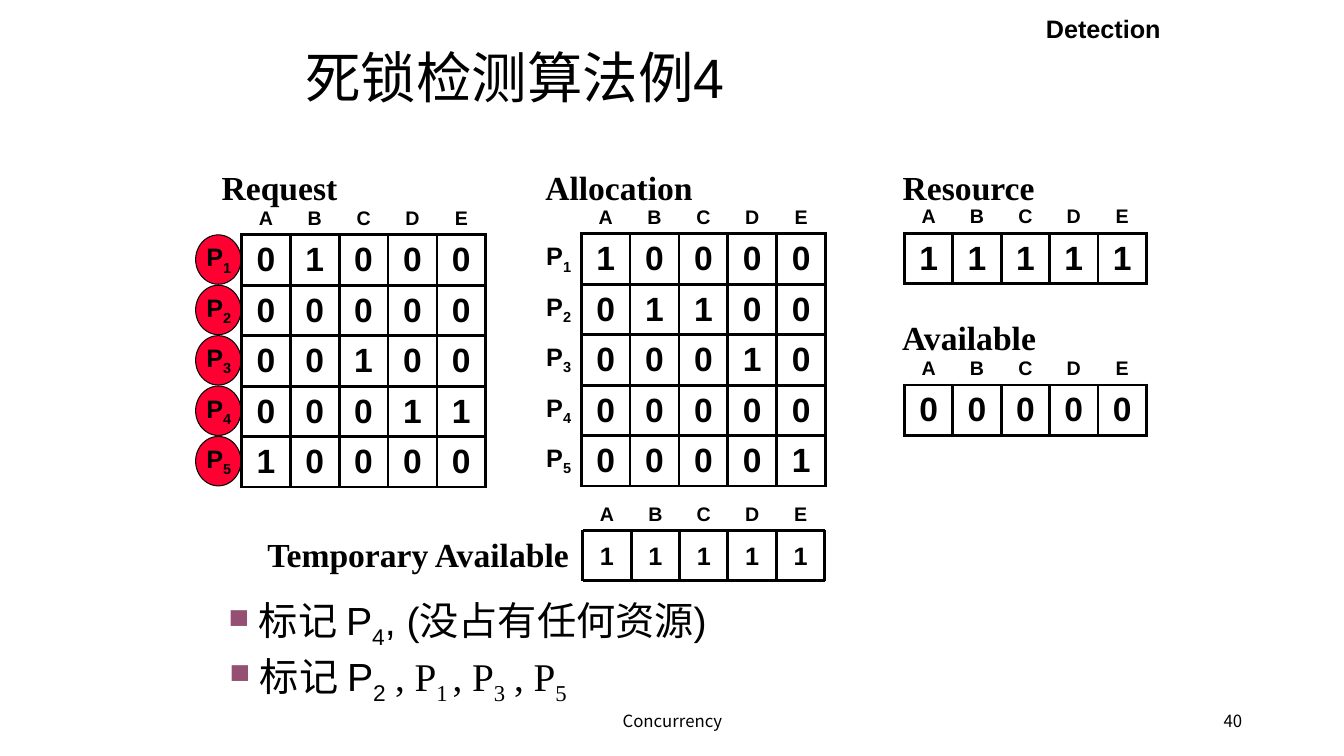
from lxml.etree import SubElement
from pptx import Presentation
from pptx.dml.color import RGBColor
from pptx.enum.shapes import MSO_CONNECTOR, MSO_SHAPE
from pptx.enum.text import MSO_ANCHOR, PP_ALIGN
from pptx.oxml.ns import qn
from pptx.util import Inches, Pt

BLACK, WHITE, RED, PURPLE = "000000", "FFFFFF", "FF0033", "954F72"
SANS, SERIF, CHINESE = "Arial", "Times New Roman", "Noto Sans CJK SC"
LEFT, CENTER, RIGHT = PP_ALIGN.LEFT, PP_ALIGN.CENTER, PP_ALIGN.RIGHT
TOP, MIDDLE, BOTTOM = MSO_ANCHOR.TOP, MSO_ANCHOR.MIDDLE, MSO_ANCHOR.BOTTOM
PLAIN_TABLE = "{2D5ABB26-0587-4C30-8999-92F81FD0307C}"

RESOURCES = "ABCDE"
PROCESSES = "12345"
REQUEST = ["01000", "00000", "00100", "00011", "10000"]
ALLOCATION = ["10000", "01100", "00010", "00000", "00001"]
RESOURCE = ["11111"]
AVAILABLE = ["00000"]
TEMPORARY = "11111"

TABLES = [
    (1.91, 1.89, 0.485, 0.44, REQUEST, PROCESSES),
    (5.28, 1.89, 0.485, 0.43, ALLOCATION, PROCESSES),
    (8.97, 1.98, 0.48, 0.33, RESOURCE, ""),
    (8.97, 3.45, 0.48, 0.37, AVAILABLE, ""),
]
HEADINGS = [
    ("Request", 2.1, 1.61, 1.76, LEFT),
    ("Allocation", 5.31, 1.61, 1.76, LEFT),
    ("Resource", 8.63, 1.61, 1.73, RIGHT),
    ("Available", 8.85, 3.09, 1.73, LEFT),
    ("Temporary Available", 2.36, 5.25, 3.38, RIGHT),
]
STEPS = [
    (2.09, 5.87, 0.56, ["标记 P", "4", ", (没占有任何资源)"]),
    (2.1, 6.42, 0.65, ["标记 P", "2"]),
]
MARKED_LATER = [(3.82, "1"), (4.39, "3"), (5, "5")]
ROW = 0.5
TEMPORARY_LEFT, TEMPORARY_TOP, TEMPORARY_CELL = 5.78, 5.26, 0.48


def color(value):
    return RGBColor.from_string(value)


def write(frame, pieces, size, font=SANS, bold=False, align=LEFT):
    para = frame.paragraphs[0]
    para.alignment = align
    for number, piece in enumerate(pieces):
        span = para.add_run()
        span.text = piece
        span.font.size = Pt(size)
        span.font.bold = bold
        span.font.name = font
        span.font.color.rgb = color(BLACK)
        properties = span.font._element
        SubElement(properties, qn("a:ea")).set("typeface", CHINESE)
        if number % 2:
            properties.set("baseline", "-25000")
    return para


def add_text(left, top, width, height, pieces, size, font=SANS, bold=False,
             align=LEFT, anchor=TOP):
    box = page.shapes.add_textbox(Inches(left), Inches(top), Inches(width), Inches(height))
    box.text_frame.word_wrap = True
    box.text_frame.vertical_anchor = anchor
    return write(box.text_frame, pieces, size, font, bold, align)


def add_bullet(para):
    properties = para._p.get_or_add_pPr()
    properties.set("marL", str(Inches(0.38)))
    properties.set("indent", str(-Inches(0.38)))
    shade = SubElement(properties, qn("a:buClr"))
    SubElement(shade, qn("a:srgbClr")).set("val", PURPLE)
    SubElement(properties, qn("a:buSzPct")).set("val", "125000")
    SubElement(properties, qn("a:buChar")).set("char", "▪")


def add_shape(kind, left, top, width, height, fill):
    shape = page.shapes.add_shape(kind, Inches(left), Inches(top), Inches(width), Inches(height))
    shape.shadow.inherit = False
    shape.fill.solid()
    shape.fill.fore_color.rgb = color(fill)
    return shape


def add_line(x1, y1, x2, y2):
    line = page.shapes.add_connector(
        MSO_CONNECTOR.STRAIGHT, Inches(x1), Inches(y1), Inches(x2), Inches(y2))
    line.line.color.rgb = color(BLACK)
    line.line.width = Pt(2.25)
    SubElement(line._element.spPr, qn("a:effectLst"))


def set_borders(cell, sides):
    properties = cell._tc.get_or_add_tcPr()
    for position, side in enumerate(sides):
        border = SubElement(properties, qn("a:ln" + side))
        border.set("w", str(Pt(2.25)))
        solid = SubElement(border, qn("a:solidFill"))
        SubElement(solid, qn("a:srgbClr")).set("val", BLACK)
        properties.insert(position, border)


def fill_cell(cell, pieces, size, align, anchor, sides):
    cell.vertical_anchor = anchor
    write(cell.text_frame, pieces, size, bold=True, align=align)
    set_borders(cell, sides)


def add_matrix(left, top, column, header, rows, processes):
    first = 1 if processes else 0
    count = len(RESOURCES) + first
    frame = page.shapes.add_table(
        len(rows) + 1, count, Inches(left), Inches(top),
        Inches(column * count), Inches(header + ROW * len(rows)))
    frame._element.find(".//" + qn("a:tableStyleId")).text = PLAIN_TABLE
    table = frame.table
    table.first_row = False
    table.horz_banding = False
    for item in table.columns:
        item.width = Inches(column)
    for number, item in enumerate(table.rows):
        item.height = Inches(ROW if number else header)
    for number, letter in enumerate(RESOURCES, first):
        fill_cell(table.cell(0, number), [letter], 14, CENTER, BOTTOM, "B")
    for number, process in enumerate(processes, 1):
        fill_cell(table.cell(number, 0), ["P", process], 18, RIGHT, MIDDLE, "R")
    for down, digits in enumerate(rows, 1):
        for across, digit in enumerate(digits, first):
            cell = table.cell(down, across)
            cell.fill.solid()
            cell.fill.fore_color.rgb = color(WHITE)
            fill_cell(cell, [digit], 24, CENTER, MIDDLE, "LRTB")


def add_temporary():
    left, top, cell = TEMPORARY_LEFT, TEMPORARY_TOP, TEMPORARY_CELL
    right, bottom = left + cell * len(TEMPORARY), top + ROW
    for number, (letter, digit) in enumerate(zip(RESOURCES, TEMPORARY)):
        x = left + cell * number
        add_text(x, top - 0.35, cell, 0.35, [letter], 14, bold=True,
                 align=CENTER, anchor=BOTTOM)
        square = add_shape(MSO_SHAPE.RECTANGLE, x, top, cell, ROW, WHITE)
        square.line.fill.background()
        square.text_frame.vertical_anchor = MIDDLE
        write(square.text_frame, [digit], 18, bold=True, align=CENTER)
    for number in range(len(TEMPORARY) + 1):
        x = left + cell * number
        add_line(x, top, x, bottom)
    for y in (top, bottom):
        add_line(left, y, right, y)


deck = Presentation()
deck.slide_width, deck.slide_height = Inches(13.33), Inches(7.5)
page = deck.slides.add_slide(deck.slide_layouts[6])

add_text(4.42, 6.95, 4.5, 0.4, ["Concurrency"], 12, CHINESE, align=CENTER, anchor=MIDDLE)
add_text(9.42, 6.95, 3, 0.4, ["40"], 12, CHINESE, align=RIGHT, anchor=MIDDLE)
title = add_text(2.93, 0.42, 7.83, 0.76, ["死锁检测算法例4"], 39.6, anchor=MIDDLE)
title.line_spacing = 0.9
add_text(8.74, 0.08, 2.87, 0.4, ["Detection"], 18, bold=True, align=RIGHT)

for number in range(len(PROCESSES)):
    mark = add_shape(MSO_SHAPE.OVAL, 1.94, 2.33 + ROW * number, 0.45, 0.49, RED)
    mark.line.color.rgb = color(BLACK)
    mark.line.width = Pt(0.75)
for matrix in TABLES:
    add_matrix(*matrix)
for text, left, top, width, align in HEADINGS:
    add_text(left, top, width, 0.5, [text], 24, SERIF, True, align)
add_temporary()

for left, top, height, pieces in STEPS:
    add_bullet(add_text(left, top, 9.25, height, pieces, 28))
for left, process in MARKED_LATER:
    add_text(left, 6.42, 0.97, 0.65, [", P", process], 28, SERIF)

deck.save("out.pptx")
